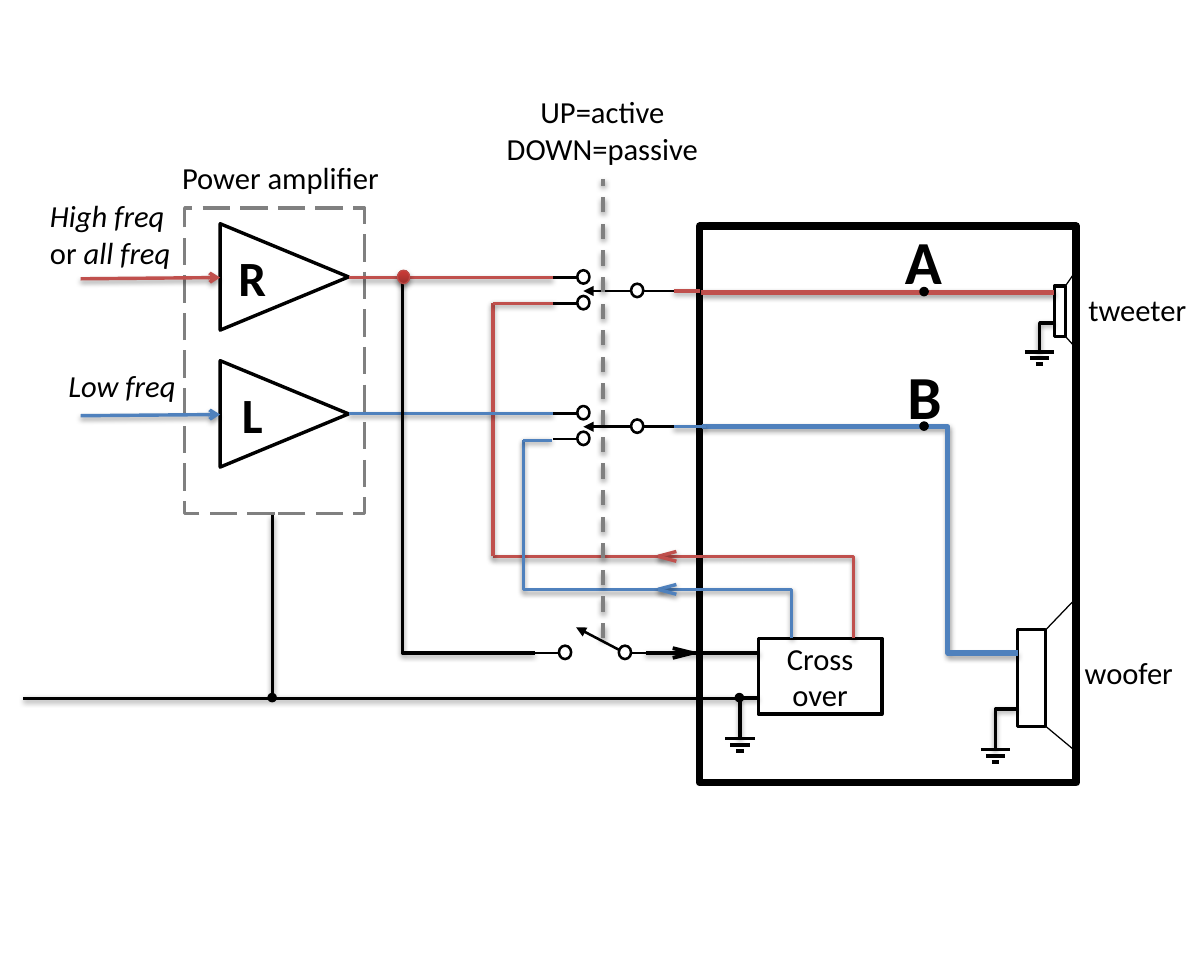
from dataclasses import dataclass
from typing import NamedTuple

from lxml import etree
from pptx import Presentation
from pptx.dml.color import RGBColor
from pptx.enum.dml import MSO_LINE
from pptx.enum.shapes import MSO_CONNECTOR, MSO_SHAPE
from pptx.enum.text import PP_ALIGN
from pptx.oxml.ns import qn
from pptx.util import Cm, Pt

RECTANGLE, TRIANGLE, OVAL = MSO_SHAPE.RECTANGLE, MSO_SHAPE.ISOSCELES_TRIANGLE, MSO_SHAPE.OVAL
STRAIGHT = MSO_CONNECTOR.STRAIGHT
DASH, LONG_DASH = MSO_LINE.DASH, MSO_LINE.LONG_DASH
LEFT, CENTER = PP_ALIGN.LEFT, PP_ALIGN.CENTER

COLORS = {
    "black": "000000", "white": "FFFFFF", "gray": "808080",
    "red": "C0504D", "blue": "4F81BD",
    "node edge": "BF4C48", "node dark": "9C2F2D", "node light": "CE3B37",
}
FONT = "Calibri"
CM_PER_INCH = 2.54
SLIDE_WIDTH, SLIDE_HEIGHT = 315 / 32, 63 / 8
Point = tuple[float, float]


class Run(NamedTuple):
    text: str
    italic: bool = False
    bold: bool = False


@dataclass
class Wire:
    points: list[Point]
    color: str = "black"
    width: float = 2
    shadow: bool = True
    arrow: str = ""
    dash: int | None = None


@dataclass
class Block:
    left: float
    top: float
    width: float
    height: float
    line: float = 2
    color: str = "black"
    fill: str | None = "white"
    kind: int = RECTANGLE
    dash: int | None = None
    text: str = ""


@dataclass
class Label:
    left: float
    top: float
    width: float
    height: float
    paragraphs: list[list[Run]]
    size: float = 18
    align: int = LEFT


@dataclass
class Speaker:
    block: Block
    rim: float
    flare_top: float
    flare_bottom: float
    lead: list[Point]


FRAMES = [
    Block(1.51, 1.7, 1.47, 2.5, color="gray", dash=LONG_DASH),
    Block(5.72, 1.85, 3.08, 4.55, line=4.5),
    Block(6.2, 5.22, 1.01, 0.62, text="Cross over"),
]
AMPLIFIERS = {"L": 2.86, "R": 1.74}
SPEAKERS = [
    Speaker(Block(8.62, 2.34, 0.09, 0.41), 8.8, 2.21, 2.85, [(8.62, 2.64), (8.5, 2.64), (8.5, 2.88)]),
    Speaker(Block(8.32, 5.15, 0.23, 0.79), 8.79, 4.9, 6.14, [(8.31, 5.8), (8.14, 5.8), (8.14, 6.13)]),
]
CROSSOVER_GROUND = [(6.2, 5.71), (6.05, 5.71), (6.05, 6.04)]
WIRES = [
    Wire([(6.21, 5.34), (5.28, 5.34)]),
    Wire([(6.47, 5.22), (6.47, 4.82), (5.73, 4.82)], "blue"),
    Wire([(6.98, 5.22), (6.98, 4.55), (5.74, 4.55)], "red"),
    Wire([(8.32, 5.34), (7.75, 5.34), (7.75, 3.49), (5.74, 3.49)], "blue", 3),
    Wire([(8.62, 2.39), (5.73, 2.39)], "red", 3),
    Wire([(6.05, 5.71), (0.19, 5.71)]),
    Wire([(2.85, 2.27), (4.52, 2.27)], "red"),
    Wire([(5.74, 4.55), (4.03, 4.55)], "red"),
    Wire([(4.03, 4.55), (4.03, 2.48)], "red"),
    Wire([(5.73, 4.82), (4.28, 4.82), (4.28, 3.6)], "blue"),
    Wire([(2.85, 3.38), (4.52, 3.38)], "blue"),
    Wire([(4.03, 2.48), (4.53, 2.48)], "red"),
    Wire([(4.28, 3.6), (4.51, 3.6)], "blue"),
    Wire([(5.51, 2.38), (5.72, 2.38)], "red"),
    Wire([(5.51, 3.49), (5.77, 3.49)], "blue"),
    Wire([(3.29, 2.26), (3.29, 5.34), (4.37, 5.34)]),
    Wire([(0.66, 2.28), (1.8, 2.27)], "red", arrow="arrow"),
    Wire([(0.66, 3.4), (1.8, 3.39)], "blue", arrow="arrow"),
    Wire([(2.23, 4.21), (2.23, 5.68)]),
]
SWITCH_CONTROL = Wire([(4.93, 5.22), (4.93, 1.46)], "gray", 2.25, dash=DASH)
JUNCTIONS = [(6.05, 5.71), (2.23, 5.71), (7.56, 2.39), (7.56, 3.49)]
LABELS = [
    Label(3.89, 0.71, 2.07, 0.71, [[Run("UP=active")], [Run("DOWN=passive")]], align=CENTER),
    Label(1.39, 1.25, 1.95, 0.4, [[Run("Power amplifier")]]),
    Label(0.31, 1.56, 1.32, 0.71, [[Run("High freq ", True), Run("or "), Run("all freq", True)]]),
    Label(0.46, 2.95, 1.09, 0.4, [[Run("Low freq", True)]]),
    Label(8.77, 5.3, 0.93, 0.4, [[Run("woofer")]]),
    Label(8.8, 2.33, 1.04, 0.4, [[Run("tweeter")]]),
    Label(7.3, 1.78, 0.51, 0.56, [[Run("A", bold=True)]], 36),
    Label(7.32, 2.88, 0.51, 0.56, [[Run("B", bold=True)]], 36),
]


def cm(inches: float) -> Cm:
    return Cm(inches * CM_PER_INCH)


def rgb(name: str) -> RGBColor:
    return RGBColor.from_string(COLORS[name])


def style_outline(shape, color: str, width: float, dash=None, shadow=False, arrow="") -> None:
    shape.line.color.rgb = rgb(color)
    shape.line.width = Pt(width)
    if dash is not None:
        shape.line.dash_style = dash
    properties = shape._element.spPr
    if arrow:
        etree.SubElement(properties.find(qn("a:ln")), qn("a:tailEnd"), type=arrow)
    effects = etree.SubElement(properties, qn("a:effectLst"))
    if shadow:
        cast = etree.SubElement(effects, qn("a:outerShdw"), blurRad=str(Pt(3.1)),
                                dist=str(Pt(1.6)), dir="5400000", rotWithShape="0")
        tint = etree.SubElement(cast, qn("a:srgbClr"), val=COLORS["black"])
        etree.SubElement(tint, qn("a:alpha"), val="38000")


def write(paragraph, runs: list[Run], size: float, align: int) -> None:
    paragraph.alignment = align
    for part in runs:
        run = paragraph.add_run()
        run.text = part.text
        run.font.name, run.font.size = FONT, Pt(size)
        run.font.italic, run.font.bold = part.italic, part.bold
        run.font.color.rgb = rgb("black")


def draw_wire(shapes, wire: Wire) -> None:
    points = [(cm(x), cm(y)) for x, y in wire.points]
    if len(points) == 2:
        shape = shapes.add_connector(STRAIGHT, *points[0], *points[1])
    else:
        builder = shapes.build_freeform(*points[0])
        builder.add_line_segments(points[1:], close=False)
        shape = builder.convert_to_shape()
        shape.fill.background()
    style_outline(shape, wire.color, wire.width, wire.dash, wire.shadow, wire.arrow)


def draw_block(shapes, block: Block, shadow: bool = False):
    shape = shapes.add_shape(block.kind, cm(block.left), cm(block.top), cm(block.width), cm(block.height))
    if block.fill:
        shape.fill.solid()
        shape.fill.fore_color.rgb = rgb(block.fill)
    else:
        shape.fill.background()
    style_outline(shape, block.color, block.line, block.dash, shadow)
    if block.text:
        shape.text_frame.word_wrap = True
        write(shape.text_frame.paragraphs[0], [Run(block.text)], 18, CENTER)
    return shape


def draw_amplifier(shapes, channel: str, top: float) -> None:
    triangle = draw_block(shapes, Block(1.89, top, 0.87, 1.05, kind=TRIANGLE))
    triangle.rotation = 90
    triangle.text_frame._txBody.bodyPr.set("vert", "vert270")
    write(triangle.text_frame.paragraphs[0], [Run(channel, bold=True)], 29, CENTER)


def draw_ground(shapes, lead: list[Point]) -> None:
    draw_wire(shapes, Wire(lead))
    x, y = lead[-1]
    for step, half in enumerate((0.12, 0.08, 0.03)):
        level = y + 0.05 * step
        draw_wire(shapes, Wire([(x - half, level), (x + half, level)], width=2.25, shadow=False))


def draw_speaker(shapes, speaker: Speaker) -> None:
    box = speaker.block
    draw_block(shapes, box)
    right = box.left + box.width
    for start, end in ((box.top, speaker.flare_top), (box.top + box.height, speaker.flare_bottom)):
        draw_wire(shapes, Wire([(right, start), (speaker.rim, end)], width=0.75, shadow=False))
    draw_ground(shapes, speaker.lead)


def draw_contact(shapes, x: float, y: float, fill: str | None = None) -> None:
    draw_block(shapes, Block(x - 0.05, y - 0.06, 0.1, 0.11, 1.5, fill=fill, kind=OVAL))


def draw_switch(shapes, pivot: Point, contacts: list[Point], tip: Point, reach: float) -> None:
    x, y = pivot
    for stub in ([(x + 0.05, y), (reach, y)], *([(a - 0.05, b), (a - 0.25, b)] for a, b in contacts)):
        draw_wire(shapes, Wire(stub, width=1.5, shadow=False))
    for contact in contacts:
        draw_contact(shapes, *contact)
    draw_wire(shapes, Wire([pivot, tip], width=1.5, shadow=False, arrow="triangle"))
    draw_contact(shapes, x, y, "white")


def draw_flow_mark(shapes, tip: Point, reach: float, color: str, width: float, shadow: bool) -> None:
    x, y = tip
    for rise in (-0.04, 0.04):
        draw_wire(shapes, Wire([(x + reach, y + rise), tip], color, width, shadow))


def draw_label(shapes, label: Label) -> None:
    frame = shapes.add_textbox(cm(label.left), cm(label.top), cm(label.width), cm(label.height)).text_frame
    frame.word_wrap = True
    for index, runs in enumerate(label.paragraphs):
        paragraph = frame.add_paragraph() if index else frame.paragraphs[0]
        write(paragraph, runs, label.size, label.align)


def main() -> None:
    deck = Presentation()
    deck.slide_width, deck.slide_height = cm(SLIDE_WIDTH), cm(SLIDE_HEIGHT)
    shapes = deck.slides.add_slide(deck.slide_layouts[6]).shapes
    for frame in FRAMES:
        draw_block(shapes, frame)
    for channel, top in AMPLIFIERS.items():
        draw_amplifier(shapes, channel, top)
    for speaker in SPEAKERS:
        draw_speaker(shapes, speaker)
    draw_ground(shapes, CROSSOVER_GROUND)
    for wire in WIRES:
        draw_wire(shapes, wire)
    for y in (2.38, 3.49):
        draw_switch(shapes, (5.21, y), [(4.77, y - 0.11), (4.77, y + 0.1)], (4.77, y), 5.51)
    draw_switch(shapes, (5.11, 5.34), [(4.62, 5.34)], (4.71, 5.13), 5.35)
    draw_wire(shapes, SWITCH_CONTROL)
    draw_flow_mark(shapes, (5.38, 4.55), 0.15, "red", 2, True)
    draw_flow_mark(shapes, (5.38, 4.82), 0.15, "blue", 2, True)
    draw_flow_mark(shapes, (5.66, 5.34), -0.16, "black", 2.25, False)
    for x, y in JUNCTIONS:
        draw_block(shapes, Block(x - 0.03, y - 0.03, 0.05, 0.05, fill="black", kind=OVAL))
    node = draw_block(shapes, Block(3.25, 2.21, 0.1, 0.11, 0.75, "node edge", kind=OVAL), shadow=True)
    node.fill.gradient()
    node.fill.gradient_angle = 90
    for stop, shade in zip(node.fill.gradient_stops, ("node dark", "node light")):
        stop.color.rgb = rgb(shade)
    for label in LABELS:
        draw_label(shapes, label)
    deck.save("out.pptx")


if __name__ == "__main__":
    main()
